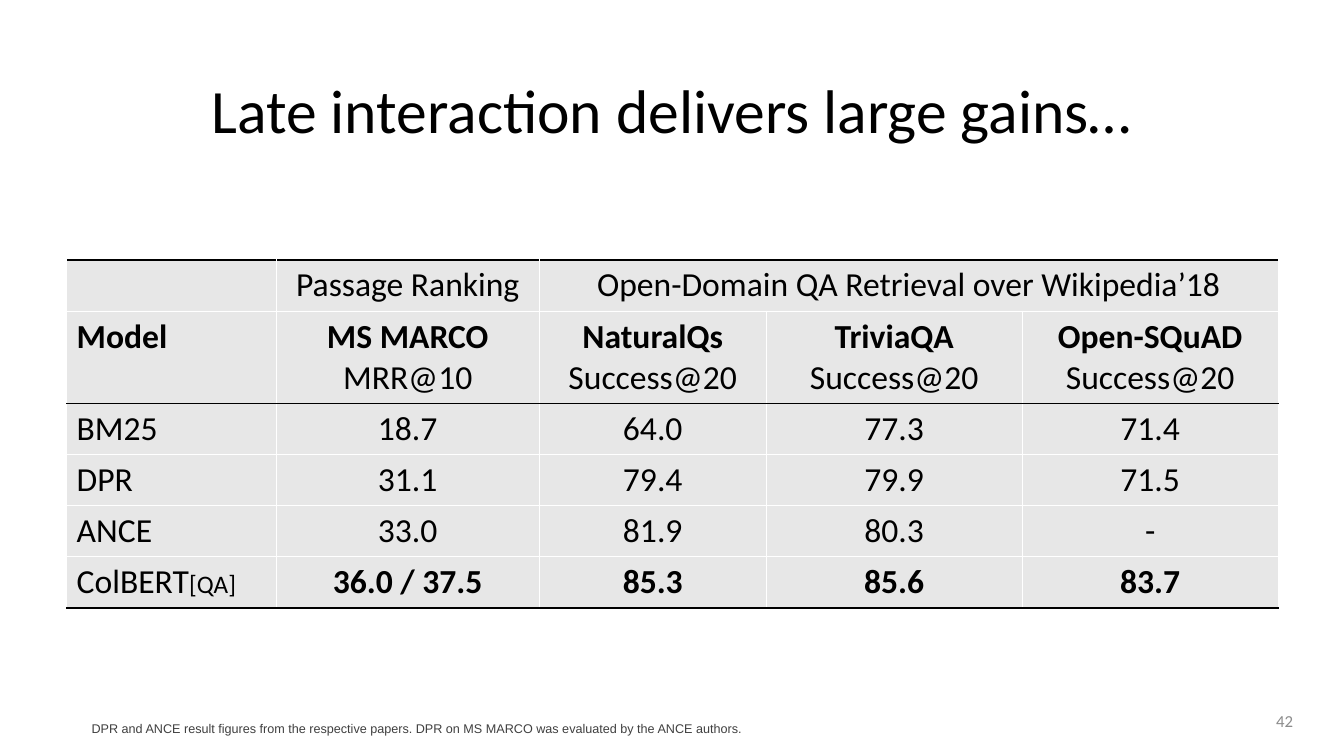
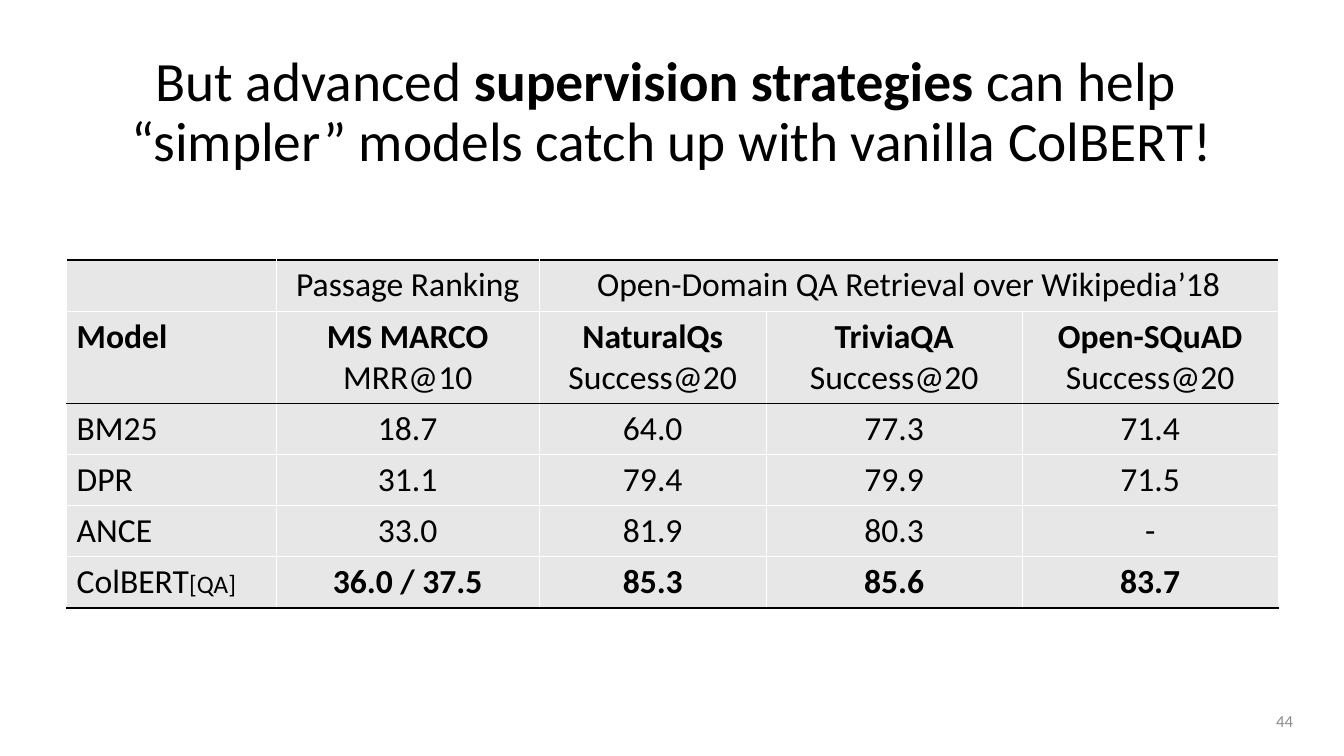
"""Build two result slides that share a title style, a page number and a results table."""
from dataclasses import dataclass

from lxml.etree import SubElement
from pptx import Presentation
from pptx.dml.color import RGBColor
from pptx.enum.text import MSO_ANCHOR, PP_ALIGN
from pptx.oxml.ns import qn
from pptx.slide import Slide
from pptx.table import _Cell
from pptx.text.text import TextFrame, _Paragraph
from pptx.util import Cm, Pt

BLACK = RGBColor(0x00, 0x00, 0x00)
WHITE = RGBColor(0xFF, 0xFF, 0xFF)
CELL_GRAY = RGBColor(0xE7, 0xE7, 0xE7)
NUMBER_GRAY = RGBColor(0x8C, 0x8C, 0x8C)
NOTE_GRAY = RGBColor(0x40, 0x40, 0x40)
BODY_FONT = "Calibri"
NOTE_FONT = "Arial"


@dataclass(frozen=True)
class Box:
    left: float
    top: float
    width: float
    height: float

    def lengths(self) -> tuple[Cm, Cm, Cm, Cm]:
        return Cm(self.left), Cm(self.top), Cm(self.width), Cm(self.height)


@dataclass(frozen=True)
class Span:
    text: str
    size: float = 24
    bold: bool = False
    color: RGBColor = BLACK
    font: str = BODY_FONT


@dataclass(frozen=True)
class ResultSlide:
    title: list[list[Span]]
    number: int
    footnote: str = ""


Lines = list[list[Span]]

TITLE_BOX = Box(2.33, 1.02, 29.21, 3.68)
NUMBER_BOX = Box(31.27, 17.65, 1.57, 1.02)
NOTE_BOX = Box(1.04, 18.03, 27.79, 0.64)
TABLE_LEFT, TABLE_TOP = 1.68, 6.55
COLUMN_WIDTHS = [5.28, 6.63, 5.72, 6.45, 6.45]
ROW_HEIGHTS = [1.29, 2.32, 1.29, 1.29, 1.29, 1.29]
BLACK_RULES = {0, 2, len(ROW_HEIGHTS)}

SCORES = [
    ("BM25", "18.7", "64.0", "77.3", "71.4"),
    ("DPR", "31.1", "79.4", "79.9", "71.5"),
    ("ANCE", "33.0", "81.9", "80.3", "-"),
]
BEST_SCORES = ("36.0 / 37.5", "85.3", "85.6", "83.7")
METRICS = [
    ("MS MARCO", "MRR@10"),
    ("NaturalQs", "Success@20"),
    ("TriviaQA", "Success@20"),
    ("Open-SQuAD", "Success@20"),
]

TABLE_ROWS: list[list[Lines]] = [
    [[], [[Span("Passage Ranking")]], [[Span("Open-Domain QA Retrieval over Wikipedia’18")]]],
    [[[Span("Model", bold=True)]]]
    + [[[Span(name, bold=True)], [Span(metric)]] for name, metric in METRICS],
    *[[[[Span(value)]] for value in row] for row in SCORES],
    [[[Span("ColBERT"), Span("[QA]", 18)]]]
    + [[[Span(score, bold=True)]] for score in BEST_SCORES],
]

SLIDES = [
    ResultSlide(
        [[Span("Late interaction delivers large gains…", 44)]],
        42,
        "DPR and ANCE result figures from the respective papers. "
        "DPR on MS MARCO was evaluated by the ANCE authors.",
    ),
    ResultSlide(
        [
            [
                Span("But advanced ", 39.6),
                Span("supervision strategies ", 39.6, bold=True),
                Span("can help ", 39.6),
            ],
            [Span("“simpler” models catch up with vanilla ColBERT!", 39.6)],
        ],
        44,
    ),
]


def add_spans(paragraph: _Paragraph, spans: list[Span]) -> None:
    for span in spans:
        run = paragraph.add_run()
        run.text = span.text
        run.font.size = Pt(span.size)
        run.font.bold = span.bold
        run.font.name = span.font
        run.font.color.rgb = span.color


def add_text_box(slide: Slide, box: Box, anchor: MSO_ANCHOR) -> TextFrame:
    text_frame = slide.shapes.add_textbox(*box.lengths()).text_frame
    text_frame.word_wrap = True
    text_frame.vertical_anchor = anchor
    return text_frame


def add_title(slide: Slide, lines: Lines) -> None:
    paragraph = add_text_box(slide, TITLE_BOX, MSO_ANCHOR.MIDDLE).paragraphs[0]
    paragraph.alignment = PP_ALIGN.CENTER
    paragraph.line_spacing = 0.9
    for index, spans in enumerate(lines):
        if index:
            paragraph.add_line_break()
        add_spans(paragraph, spans)


def add_number(slide: Slide, number: int) -> None:
    paragraph = add_text_box(slide, NUMBER_BOX, MSO_ANCHOR.MIDDLE).paragraphs[0]
    paragraph.alignment = PP_ALIGN.RIGHT
    add_spans(paragraph, [Span(str(number), 12, color=NUMBER_GRAY)])


def add_footnote(slide: Slide, text: str) -> None:
    paragraph = add_text_box(slide, NOTE_BOX, MSO_ANCHOR.TOP).paragraphs[0]
    properties = paragraph._p.get_or_add_pPr()
    properties.set("marL", str(Cm(2.29)))
    properties.set("indent", str(Cm(-1.27)))
    add_spans(paragraph, [Span(text, 9, color=NOTE_GRAY, font=NOTE_FONT)])


def style_cell(cell: _Cell, row: int) -> None:
    top = BLACK if row in BLACK_RULES else WHITE
    bottom = BLACK if row + 1 in BLACK_RULES else WHITE
    properties = cell._tc.get_or_add_tcPr()
    for tag, color in (("lnL", WHITE), ("lnR", WHITE), ("lnT", top), ("lnB", bottom)):
        line = SubElement(properties, qn(f"a:{tag}"), w=str(Pt(1)))
        fill = SubElement(line, qn("a:solidFill"))
        SubElement(fill, qn("a:srgbClr"), val=str(color))
    cell.fill.solid()
    cell.fill.fore_color.rgb = CELL_GRAY


def fill_cell(cell: _Cell, lines: Lines, alignment: PP_ALIGN) -> None:
    for index, spans in enumerate(lines):
        text_frame = cell.text_frame
        paragraph = text_frame.add_paragraph() if index else text_frame.paragraphs[0]
        paragraph.alignment = alignment
        add_spans(paragraph, spans)


def add_results_table(slide: Slide) -> None:
    box = Box(TABLE_LEFT, TABLE_TOP, sum(COLUMN_WIDTHS), sum(ROW_HEIGHTS))
    table = slide.shapes.add_table(
        len(ROW_HEIGHTS), len(COLUMN_WIDTHS), *box.lengths()
    ).table
    table.first_row = False
    table.horz_banding = False
    for column, width in zip(table.columns, COLUMN_WIDTHS):
        column.width = Cm(width)
    for row_index, (row, height) in enumerate(zip(table.rows, ROW_HEIGHTS)):
        row.height = Cm(height)
        for cell in row.cells:
            style_cell(cell, row_index)
        for column_index, lines in enumerate(TABLE_ROWS[row_index]):
            alignment = PP_ALIGN.CENTER if column_index else PP_ALIGN.LEFT
            fill_cell(table.cell(row_index, column_index), lines, alignment)
    table.cell(0, 2).merge(table.cell(0, 4))


def main() -> None:
    presentation = Presentation()
    presentation.slide_width = Cm(33.87)
    presentation.slide_height = Cm(19.05)
    for content in SLIDES:
        slide = presentation.slides.add_slide(presentation.slide_layouts[6])
        add_title(slide, content.title)
        add_number(slide, content.number)
        add_results_table(slide)
        if content.footnote:
            add_footnote(slide, content.footnote)
    presentation.save("out.pptx")


if __name__ == "__main__":
    main()
